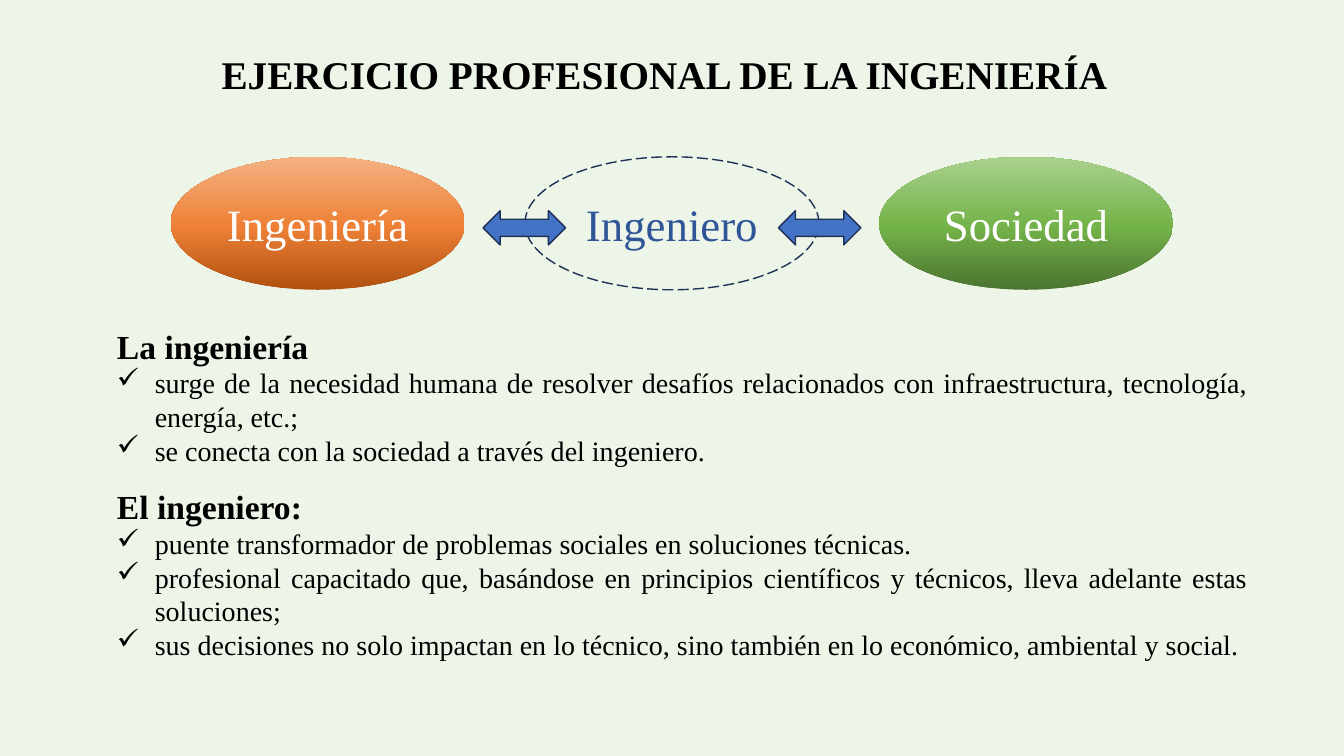
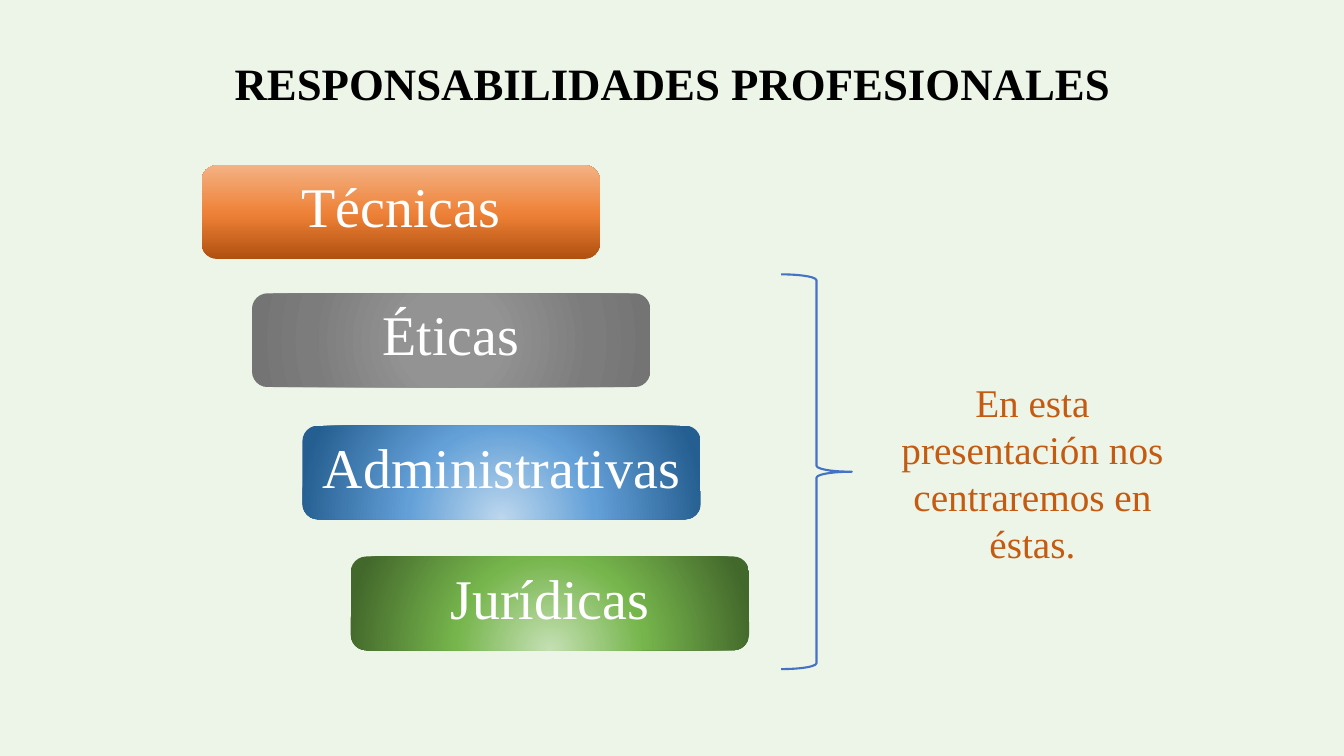
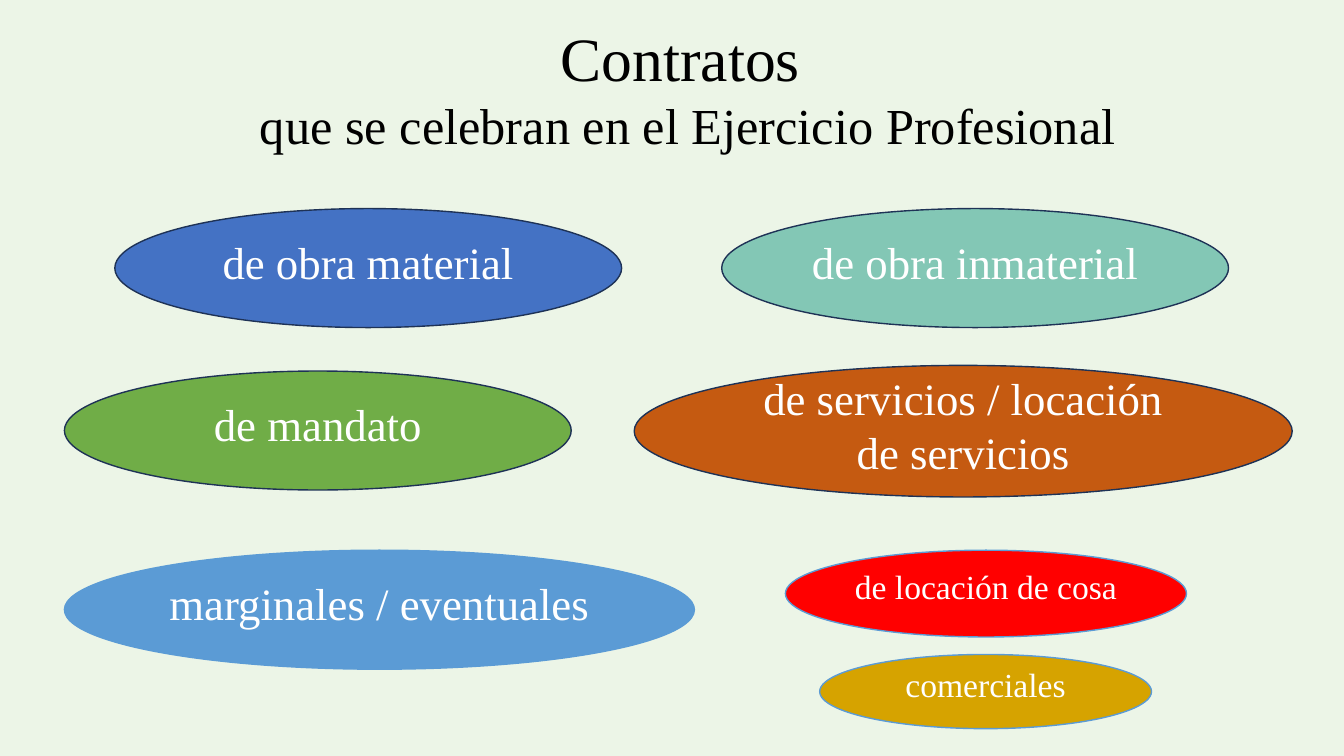
from pptx import Presentation
from pptx import util as u
from pptx.dml import color
from pptx.enum import dml, shapes, text
from pptx.oxml import parse_xml
from pptx.oxml.ns import nsdecls, qn

FONT = "Times New Roman"
BACKGROUND, BLACK, WHITE = "ECF5E7", "000000", "FFFFFF"
BLUE, SKY, NAVY, RUST = "4472C4", "5B9BD5", "1E3256", "C55A11"
CENTER, JUSTIFY = text.PP_ALIGN.CENTER, text.PP_ALIGN.JUSTIFY
SHAPE = shapes.MSO_SHAPE

# Gradients: stops as (percent, colour), then the direction
UPWARD = '<a:lin ang="16200000" scaled="0"/>'
RADIAL = ('<a:path path="circle"><a:fillToRect l="50000" t="{}" '
          'r="50000" b="{}"/></a:path>')
FROM_CENTER = RADIAL.format(50000, 50000)
FROM_BOTTOM = RADIAL.format(130000, -30000)
ORANGE_UP = ([(0, "B0500F"), (48, "EE8137"), (100, "F4B183")], UPWARD)
GREEN_UP = ([(0, "4B7430"), (48, "74B349"), (100, "A9D18E")], UPWARD)
GRAY_GLOW = ([(0, "939393"), (23, "939393"), (69, "7C7C7C"),
              (97, "747474")], FROM_CENTER)
BLUE_GLOW = ([(0, "BDD7EE"), (46, "63A0D7"), (100, "255E91")], FROM_BOTTOM)
GREEN_GLOW = ([(0, "C5E0B4"), (46, "76B54C"), (100, "43682B")], FROM_BOTTOM)


def rgb(value):
    return color.RGBColor.from_string(value)


def set_all(target, values):
    for name, value in values.items():
        setattr(target, name, value)


def points(*lengths):
    return [u.Pt(length) for length in lengths]


# Text
def write(para, words, size, ink=BLACK, bold=False, align=CENTER, **spacing):
    set_all(para, {"alignment": align, **spacing})
    span = para.add_run()
    span.text = words
    set_all(span.font, {"name": FONT, "size": u.Pt(size), "bold": bold})
    span.font.color.rgb = rgb(ink)


def add_bullet(para, mark="✓", indent=27):
    props = para._p.get_or_add_pPr()
    props.set("marL", str(u.Pt(indent)))
    props.set("indent", str(-u.Pt(indent)))
    props.append(parse_xml(f'<a:buChar {nsdecls("a")} char="{mark}"/>'))


def add_text_box(page, at):
    frame = page.shapes.add_textbox(*points(*at)).text_frame
    set_all(frame, {"word_wrap": True,
                    "auto_size": text.MSO_AUTO_SIZE.SHAPE_TO_FIT_TEXT})
    return frame


def add_title(page, at, words, size):
    frame = add_text_box(page, at)
    write(frame.paragraphs[0], words, size, bold=True, space_after=u.Pt(12))


def add_sections(page, at, sections):
    frame = add_text_box(page, at)
    para = frame.paragraphs[0]
    for index, (heading, items) in enumerate(sections):
        if index:
            para = frame.add_paragraph()
            para.space_before = u.Pt(14)
        write(para, heading, 24, bold=True, align=JUSTIFY)
        for item in items:
            para = frame.add_paragraph()
            write(para, item, 20, align=JUSTIFY)
            add_bullet(para)


# Shapes
def paint_gradient(shape, stops, direction):
    marks = "".join(f'<a:gs pos="{place * 1000}"><a:srgbClr val="{tone}"/></a:gs>'
                    for place, tone in stops)
    gradient = parse_xml(f'<a:gradFill {nsdecls("a")} rotWithShape="1">'
                         f'<a:gsLst>{marks}</a:gsLst>{direction}</a:gradFill>')
    props = shape._element.spPr
    props.replace(props.find(qn("a:noFill")), gradient)


def add_figure(page, kind, at, fill=None, line=None, width=1, dash=None):
    shape = page.shapes.add_shape(kind, *points(*at))
    shape.shadow.inherit = False
    shape.fill.background()
    if isinstance(fill, tuple):
        paint_gradient(shape, *fill)
    elif fill:
        shape.fill.solid()
        shape.fill.fore_color.rgb = rgb(fill)
    if line:
        shape.line.color.rgb = rgb(line)
        set_all(shape.line, {"width": u.Pt(width), "dash_style": dash})
    else:
        shape.line.fill.background()
    return shape


def add_label(shape, words, size, ink=WHITE, lift=0):
    """Centre a label; lift widens the bottom margin to raise it."""
    frame = shape.text_frame
    set_all(frame, {"word_wrap": True,
                    "vertical_anchor": text.MSO_ANCHOR.MIDDLE,
                    "margin_bottom": u.Pt(3.6 + lift)})
    write(frame.paragraphs[0], words, size, ink)


# Slides
def build_practice(page):
    add_title(page, (49.5, 32.5, 850, 179),
              "EJERCICIO PROFESIONAL DE LA INGENIERÍA", 28)
    ovals = [("Ingeniería", WHITE, {"fill": ORANGE_UP}),
             ("Ingeniero", "2F5597",
              {"line": NAVY, "dash": dml.MSO_LINE.LONG_DASH}),
             ("Sociedad", WHITE, {"fill": GREEN_UP})]
    for index, (words, ink, style) in enumerate(ovals):
        oval = add_figure(page, SHAPE.OVAL, (122 + 253 * index, 112, 210, 95),
                          **style)
        add_label(oval, words, 32, ink)
    for left in (345, 556):
        add_figure(page, SHAPE.LEFT_RIGHT_ARROW, (left, 150.5, 59, 24.5),
                   BLUE, NAVY)
    add_sections(page, (76.5, 229, 822, 250), [
        ("La ingeniería", [
            "surge de la necesidad humana de resolver desafíos relacionados "
            "con infraestructura, tecnología, energía, etc.;",
            "se conecta con la sociedad a través del ingeniero."]),
        ("El ingeniero:", [
            "puente transformador de problemas sociales en soluciones técnicas.",
            "profesional capacitado que, basándose en principios científicos "
            "y técnicos, lleva adelante estas soluciones;",
            "sus decisiones no solo impactan en lo técnico, sino también en "
            "lo económico, ambiental y social."])])


def build_duties(page):
    add_title(page, (55.5, 36, 850, 46), "RESPONSABILIDADES PROFESIONALES", 32)
    for left, top, words, fill in [
            (144, 118, "Técnicas", ORANGE_UP),
            (180, 209.5, "Éticas", GRAY_GLOW),
            (216, 304, "Administrativas", BLUE_GLOW),
            (250.5, 397.5, "Jurídicas", GREEN_GLOW)]:
        step = add_figure(page, SHAPE.ROUNDED_RECTANGLE,
                          (left, top, 284.5, 67), fill)
        add_label(step, words, 40, lift=9.6)
    add_figure(page, SHAPE.RIGHT_BRACE, (558, 196, 50.5, 282),
               line=BLUE, width=1.5)
    remark = add_figure(page, SHAPE.ROUNDED_RECTANGLE, (609, 253.5, 257, 168))
    add_label(remark, "En esta presentación nos centraremos en éstas.", 28, RUST)


def build_contracts(page):
    frame = add_text_box(page, (82, 11, 819, 138))
    write(frame.paragraphs[0], "Contratos ", 44)
    write(frame.add_paragraph(), "que se celebran en el Ejercicio Profesional",
          36, space_after=u.Pt(30))
    for at, words, fill, line, size, lift in [
            ((82, 149, 362, 85), "de obra material", BLUE, NAVY, 32, 9.6),
            ((515.5, 149, 362, 85), "de obra inmaterial", "83C7B5", NAVY, 32, 9.6),
            ((453, 261, 470, 94), "de servicios / locación de servicios",
             RUST, NAVY, 32, 9.6),
            ((46, 265, 362, 85), "de mandato", "70AD47", NAVY, 32, 9.6),
            ((46, 393, 450, 85), "marginales / eventuales", SKY, SKY, 32, 9.6),
            ((561, 393, 286.5, 62), "de locación de cosa", "FF0000", SKY, 24, 10.8),
            ((585.5, 467.5, 237, 53), "comerciales", "D6A300", SKY, 24, 10.8)]:
        add_label(add_figure(page, SHAPE.OVAL, at, fill, line),
                  words, size, lift=lift)


def main():
    deck = Presentation()
    set_all(deck, {"slide_width": u.Pt(960), "slide_height": u.Pt(540)})
    backdrop = deck.slide_master.background.fill
    backdrop.solid()
    backdrop.fore_color.rgb = rgb(BACKGROUND)
    for build in (build_practice, build_duties, build_contracts):
        build(deck.slides.add_slide(deck.slide_layouts[6]))
    deck.save("out.pptx")


if __name__ == "__main__":
    main()
